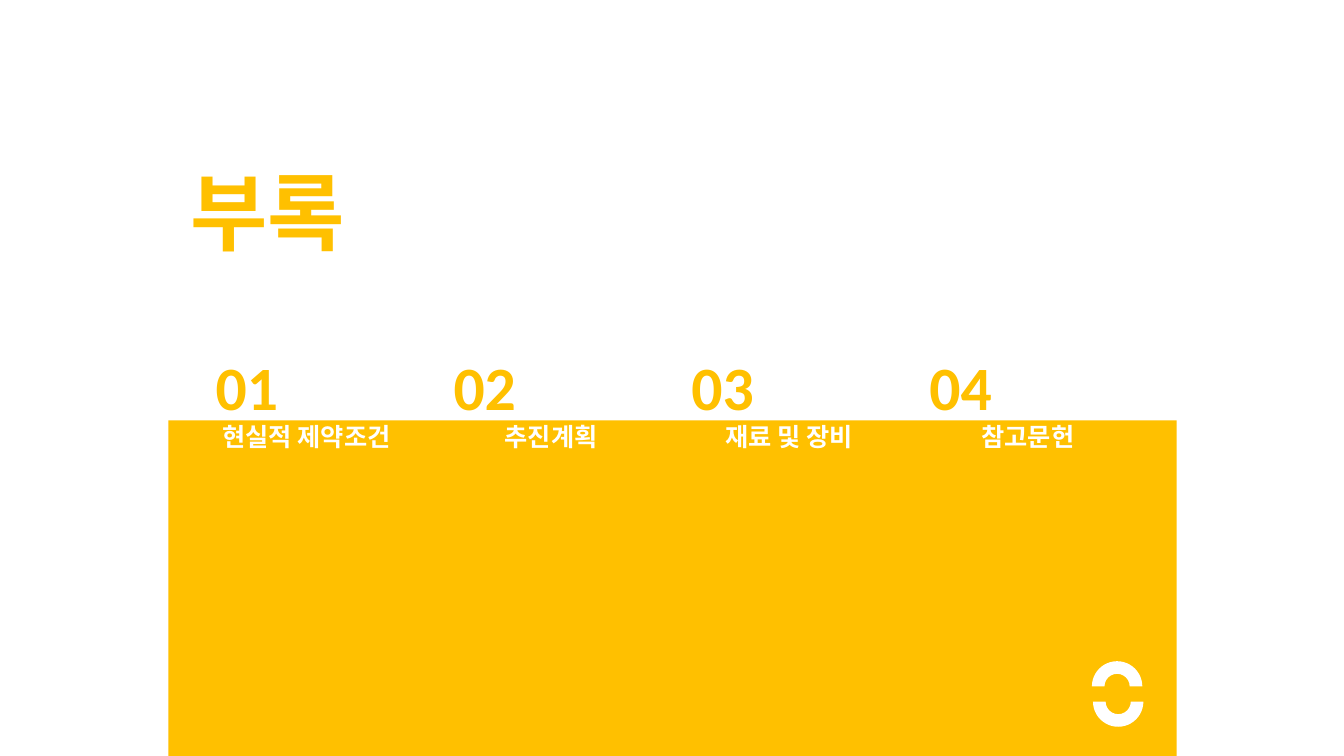
import pptx
import pptx.util
import pptx.dml.color
import pptx.enum.shapes
import pptx.enum.text
from dataclasses import dataclass

TITLE = "부록"
SECTIONS = [
    ("01", "현실적 제약조건", 194, 220),
    ("02", "추진계획", 447, 199),
    ("03", "재료 및 장비", 683, 199),
    ("04", "참고문헌", 920, 199),
]
ARCS = [(1083, 656, 0), (1084, 671, 180)]
SLIDE_W, SLIDE_H = 1333, 750
PANEL = (167, 417, 1000, 333)
TITLE_BOX = (179, 154, 535, 111)
NUMBER_LEFT, NUMBER_TOP, NUMBER_STEP = 204, 341, 236
NUMBER_W, NUMBER_H = 145, 84
LABEL_TOP, LABEL_H = 413, 40
ARC_SIZE = 50
EMU_PER_PX = 9144


@dataclass(frozen=True)
class Theme:
    accent: str = "FFC000"
    light: str = "FFFFFF"
    text_font: str = "Arial"
    number_font: str = "Calibri"
    title_size: int = 60
    number_size: int = 44
    label_size: int = 18


THEME = Theme()
ALIGN = pptx.enum.text.PP_ALIGN
SHAPE = pptx.enum.shapes.MSO_SHAPE


def px(*lengths):
    return [pptx.util.Emu(n * EMU_PER_PX) for n in lengths]


def rgb(color):
    return pptx.dml.color.RGBColor.from_string(color)


def write(sp, text, font, size, color, align):
    tf = sp.text_frame
    tf.word_wrap = True
    tf.auto_size = pptx.enum.text.MSO_AUTO_SIZE.SHAPE_TO_FIT_TEXT
    tf.vertical_anchor = pptx.enum.text.MSO_ANCHOR.TOP
    p = tf.paragraphs[0]
    p.alignment = align
    r = p.add_run()
    r.text = text
    r.font.name = font
    r.font.size = pptx.util.Pt(size)
    r.font.bold = True
    r.font.color.rgb = rgb(color)


def add_solid(s, kind, box, color):
    sp = s.shapes.add_shape(kind, *px(*box))
    sp.shadow.inherit = False
    sp.fill.solid()
    sp.fill.fore_color.rgb = rgb(color)
    sp.line.fill.background()
    return sp


def main():
    prs = pptx.Presentation()
    prs.slide_width, prs.slide_height = px(SLIDE_W, SLIDE_H)
    s = prs.slides.add_slide(prs.slide_layouts[5])

    title = s.shapes.title
    title.left, title.top, title.width, title.height = px(*TITLE_BOX)
    write(title, TITLE, THEME.text_font, THEME.title_size, THEME.accent, ALIGN.LEFT)

    add_solid(s, SHAPE.RECTANGLE, PANEL, THEME.accent)

    for i, (number, label, left, width) in enumerate(SECTIONS):
        sp = s.shapes.add_textbox(*px(left, LABEL_TOP, width, LABEL_H))
        write(sp, label, THEME.text_font, THEME.label_size, THEME.light, ALIGN.CENTER)
        number_left = NUMBER_LEFT + i * NUMBER_STEP
        sp = s.shapes.add_textbox(*px(number_left, NUMBER_TOP, NUMBER_W, NUMBER_H))
        write(sp, number, THEME.number_font, THEME.number_size, THEME.accent, ALIGN.LEFT)

    for left, top, rotation in ARCS:
        arc = add_solid(s, SHAPE.BLOCK_ARC, (left, top, ARC_SIZE, ARC_SIZE), THEME.light)
        arc.rotation = rotation

    prs.save("out.pptx")


if __name__ == "__main__":
    main()
